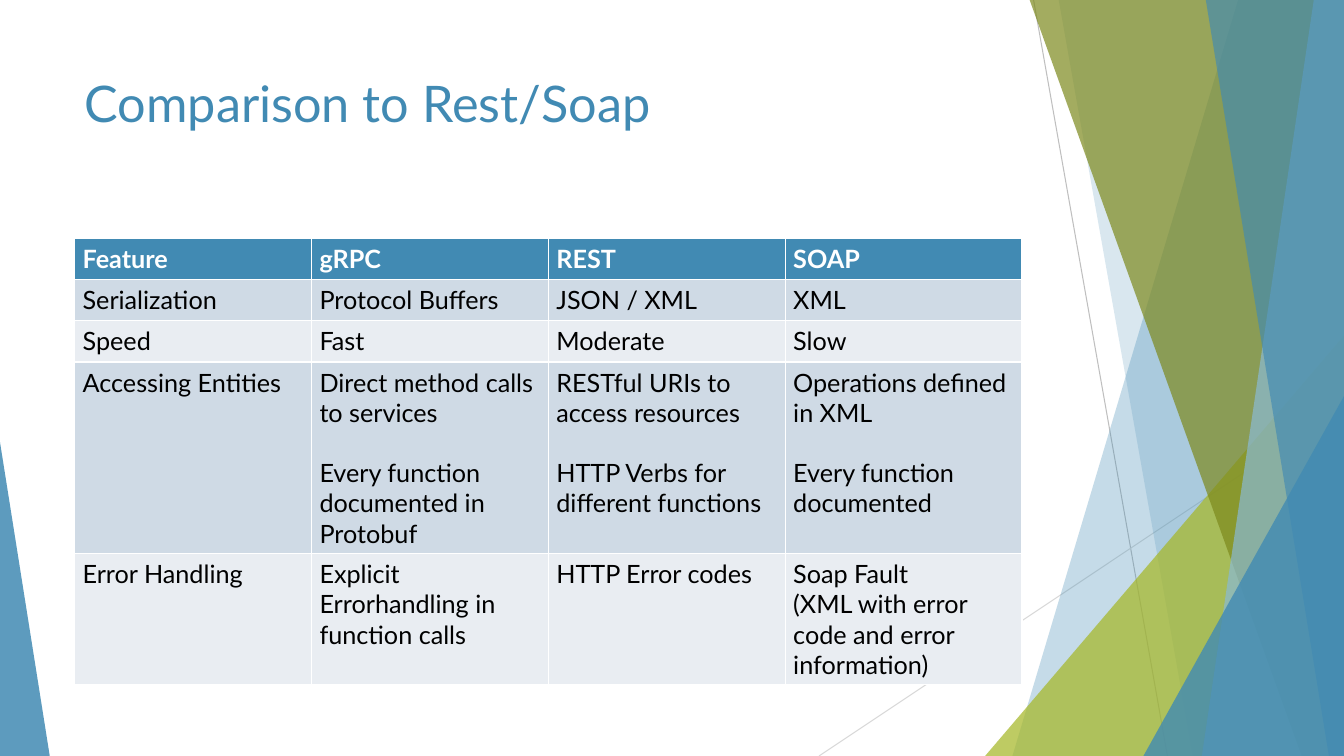
from pptx import Presentation
from pptx.dml.color import RGBColor
from pptx.enum.shapes import MSO_CONNECTOR, MSO_SHAPE
from pptx.enum.text import MSO_ANCHOR, PP_ALIGN
from pptx.oxml.ns import qn
from pptx.util import Inches, Pt
from lxml.etree import SubElement

BLUE = RGBColor(0x41, 0x8A, 0xB3)
LIGHT_BLUE = RGBColor(0x8A, 0xBA, 0xD4)
LIME = RGBColor(0xA6, 0xB7, 0x27)
OLIVE = RGBColor(0x7D, 0x89, 0x1D)
GREY = RGBColor(0xBF, 0xBF, 0xBF)
PALE_GREY = RGBColor(0xD9, 0xD9, 0xD9)
ROW_DARK = RGBColor(0xCF, 0xDA, 0xE5)
ROW_LIGHT = RGBColor(0xE9, 0xED, 0xF2)
WHITE = RGBColor(0xFF, 0xFF, 0xFF)
BLACK = RGBColor(0, 0, 0)

WIDTH, HEIGHT = Inches(13.33), Inches(7.5)
FONT = "Lato"
ROW_HEIGHT = Inches(0.41)
PARAGRAPH_GAP = Pt(21.6)  # one line of table text

TITLE = "Comparison to Rest/Soap"
# Each cell is a list of paragraphs
COMPARISON = [
    [["Feature"], ["gRPC"], ["REST"], ["SOAP"]],
    [["Serialization"], ["Protocol Buffers"], ["JSON / XML"], ["XML"]],
    [["Speed"], ["Fast"], ["Moderate"], ["Slow"]],
    [["Accessing Entities"],
     ["Direct method calls to services", "Every function documented in Protobuf"],
     ["RESTful URIs to access resources", "HTTP Verbs for different functions"],
     ["Operations defined in XML", "Every function documented"]],
    [["Error Handling"], ["Explicit Errorhandling in function calls"],
     ["HTTP Error codes"],
     ["Soap Fault", "(XML with error code and error information)"]],
]
SPACED_ROW = 3  # its paragraphs stand a line apart


def share_box(left, top, width, height):
    """A box given in percent of the slide's size."""
    return (round(WIDTH * left / 100), round(HEIGHT * top / 100),
            round(WIDTH * width / 100), round(HEIGHT * height / 100))


def point_in(box, x, y):
    """A point given in percent of a box."""
    left, top, width, height = box
    return round(left + width * x / 100), round(top + height * y / 100)


def set_format(target, values):
    for name, value in values.items():
        setattr(target, name, value)


def paint(facet, color, opacity):
    facet.shadow.inherit = False
    facet.line.fill.background()
    facet.fill.solid()
    facet.fill.fore_color.rgb = color
    color_node = facet.fill._xPr.find(qn("a:solidFill"))[0]
    SubElement(color_node, qn("a:alpha")).set("val", str(opacity * 1000))


def add_hairline(slide, box, start, end, color):
    hairline = slide.shapes.add_connector(
        MSO_CONNECTOR.STRAIGHT, *point_in(box, *start), *point_in(box, *end))
    set_format(hairline.line, {"width": Pt(0.75)})
    hairline.line.color.rgb = color
    SubElement(hairline._element.spPr, qn("a:effectLst"))


def add_band(slide, box, top_x, bottom_x, color, opacity):
    """A band from a slanted left edge to the right side of the box."""
    corners = [point_in(box, x, y) for x, y in
               [(top_x, 0), (100, 0), (100, 100), (bottom_x, 100)]]
    builder = slide.shapes.build_freeform(*corners[0], scale=1.0)
    builder.add_line_segments(corners[1:], close=True)
    paint(builder.convert_to_shape(), color, opacity)


def add_corner(slide, box, apex, color, opacity):
    corner = slide.shapes.add_shape(MSO_SHAPE.ISOSCELES_TRIANGLE, *box)
    corner.adjustments[0] = apex
    paint(corner, color, opacity)


def add_right_corner(slide, box, x, y, color, opacity):
    left, top = point_in(box, x, y)
    right, bottom = point_in(box, 100, 100)
    add_corner(slide, (left, top, right - left, bottom - top), 1, color, opacity)


def add_facets(slide, box):
    add_hairline(slide, box, (13.5, 0), (50.8, 100), GREY)
    add_hairline(slide, box, (100, 53.7), (-46.3, 100), PALE_GREY)
    # Bands and corners, from back to front
    for add_part, *values in [
        (add_band, 70.5, 7.6, BLUE, 30),
        (add_band, 20.5, 57.9, BLUE, 20),
        (add_right_corner, 0, 44.4, LIME, 72),
        (add_band, 12.4, 88.2, OLIVE, 70),
        (add_band, 91.6, 60.4, LIGHT_BLUE, 70),
        (add_band, 61.5, 95.8, BLUE, 65),
        (add_right_corner, 44.1, 52.4, BLUE, 80),
    ]:
        add_part(slide, box, *values)


def add_title(slide, box):
    title = slide.shapes.title
    set_format(title, dict(zip(("left", "top", "width", "height"), box)))
    frame = title.text_frame
    frame.text = TITLE
    set_format(frame, {"vertical_anchor": MSO_ANCHOR.TOP, "word_wrap": True})
    heading = frame.paragraphs[0]
    heading.alignment = PP_ALIGN.LEFT
    set_format(heading.runs[0].font, {"name": FONT, "size": Pt(36)})
    heading.runs[0].font.color.rgb = BLUE


def fill_cell(cell, texts, row):
    is_header = row == 0
    cell.fill.solid()
    cell.fill.fore_color.rgb = (
        BLUE if is_header else ROW_DARK if row % 2 else ROW_LIGHT)
    set_format(cell, {"margin_left": Inches(0.08), "margin_right": Inches(0.08),
                      "margin_top": Inches(0.05), "margin_bottom": Inches(0.05)})
    cell.text = "\n".join(texts)
    for index, paragraph in enumerate(cell.text_frame.paragraphs):
        if index and row == SPACED_ROW:
            paragraph.space_before = PARAGRAPH_GAP
        font = paragraph.runs[0].font
        set_format(font, {"name": FONT, "size": Pt(18), "bold": is_header})
        font.color.rgb = WHITE if is_header else BLACK


def add_comparison(slide, box):
    left, top, width, _ = box
    rows = len(COMPARISON)
    # Rows grow with their text
    comparison = slide.shapes.add_table(
        rows, len(COMPARISON[0]), left, top, width, ROW_HEIGHT * rows).table
    for row, cells in enumerate(COMPARISON):
        for column, texts in enumerate(cells):
            fill_cell(comparison.cell(row, column), texts, row)


def main():
    deck = Presentation()
    set_format(deck, {"slide_width": WIDTH, "slide_height": HEIGHT})
    slide = deck.slides.add_slide(deck.slide_layouts.get_by_name("Title Only"))
    add_facets(slide, share_box(73.3, 0, 26.7, 100))
    add_corner(slide, share_box(0, 58.5, 3.7, 41.5), 0, BLUE, 85)
    add_title(slide, share_box(5.55, 8.9, 70.5, 19.2))
    add_comparison(slide, share_box(5.55, 31.5, 70.5, 59))
    deck.save("out.pptx")


if __name__ == "__main__":
    main()
